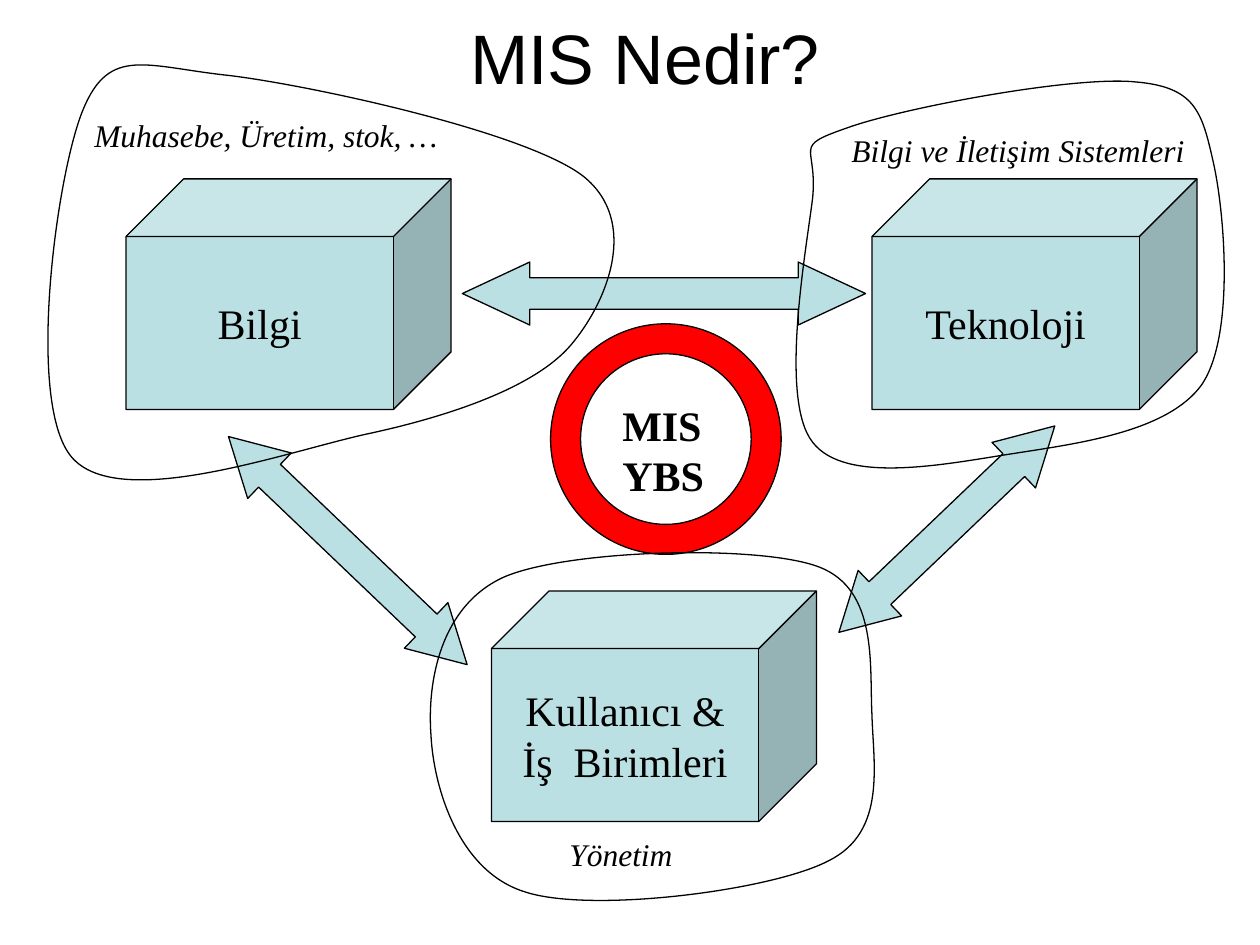
from pptx import Presentation
from pptx.dml.color import RGBColor
from pptx.enum.shapes import MSO_SHAPE
from pptx.enum.text import MSO_ANCHOR, MSO_AUTO_SIZE, PP_ALIGN
from pptx.oxml.ns import qn
from pptx.util import Inches, Pt

COLORS = {"text": "000000", "line": "000000", "panel": "BBE0E3", "ring": "FF0000"}
SERIF = "Times New Roman"
CUBE_SIZE = (2.58, 1.83)

# Each outline is a start point followed by three points per Bézier curve.
# All region measures are inches from the top left corner of the region.
REGIONS = [
    {
        "origin": (0.2, 0.36), "cube": (0.8, 1.06), "label": "Bilgi",
        "caption": "Muhasebe, Üretim, stok, …", "caption_box": (0.45, 0.51, 2.93, 0.4),
        "outline": [
            (0.46, 0.51),
            (0.25, 1.01), (0, 2.84), (0.37, 3.27),
            (0.74, 3.7), (2.03, 3.24), (2.69, 3.09),
            (3.35, 2.95), (4.04, 2.72), (4.33, 2.38),
            (4.62, 2.04), (4.88, 1.4), (4.43, 1.04),
            (3.98, 0.69), (2.28, 0.32), (1.62, 0.24),
            (0.96, 0.17), (0.67, 0), (0.46, 0.51),
        ],
    },
    {
        "origin": (3.39, 4.32), "cube": (0.51, 0.37), "label": "Kullanıcı &\nİş  Birimleri",
        "caption": "Yönetim", "caption_box": (1.03, 2.26, 1.02, 0.4),
        "outline": [
            (0.61, 0.26),
            (0.1, 0.49), (0, 1.1), (0.03, 1.51),
            (0.05, 1.93), (0.25, 2.6), (0.78, 2.76),
            (1.3, 2.93), (2.74, 2.75), (3.19, 2.51),
            (3.65, 2.28), (3.54, 1.74), (3.53, 1.35),
            (3.51, 0.96), (3.58, 0.36), (3.11, 0.18),
            (2.64, 0), (1.12, 0.04), (0.61, 0.26),
        ],
    },
    {
        "origin": (6.18, 0.6), "cube": (0.74, 0.82), "label": "Teknoloji",
        "caption": "Bilgi ve İletişim Sistemleri", "caption_box": (0.48, 0.39, 2.9, 0.4),
        "outline": [
            (0.27, 0.97),
            (0.22, 1.38), (0, 2.57), (0.27, 2.91),
            (0.53, 3.25), (1.34, 3.08), (1.86, 3),
            (2.37, 2.92), (3.09, 2.83), (3.36, 2.45),
            (3.62, 2.06), (3.54, 1.09), (3.45, 0.69),
            (3.36, 0.29), (3.31, 0.09), (2.83, 0.05),
            (2.34, 0), (0.96, 0.26), (0.53, 0.42),
            (0.1, 0.57), (0.31, 0.55), (0.27, 0.97),
        ],
    },
]

# Box, head length relative to arrow height, rotation
ARROWS = [
    ((3.67, 2.08, 3.2, 0.5), 1.07, 0),
    ((1.45, 4.12, 2.62, 0.5), 0.9, 43.7),
    ((6.33, 3.95, 2.37, 0.5), 0.9, 316.3),
]


def style_shape(shape, fill=None):
    shape.shadow.inherit = False
    if fill:
        shape.fill.solid()
        shape.fill.fore_color.rgb = RGBColor.from_string(COLORS[fill])
    else:
        shape.fill.background()
    shape.line.color.rgb = RGBColor.from_string(COLORS["line"])
    shape.line.width = Pt(0.75)


def add_preset(slide, preset, box, fill):
    shape = slide.shapes.add_shape(preset, *map(Inches, box))
    style_shape(shape, fill)
    return shape


def write_text(shape, text, size, font=SERIF, align=PP_ALIGN.LEFT, bold=False, italic=False):
    text_frame = shape.text_frame
    text_frame.text = text
    text_frame.word_wrap = False
    for paragraph in text_frame.paragraphs:
        paragraph.alignment = align
        for run in paragraph.runs:
            run.font.name = font
            run.font.size = Pt(size)
            run.font.bold = bold
            run.font.italic = italic
            run.font.color.rgb = RGBColor.from_string(COLORS["text"])
    return text_frame


def add_label(slide, box, text, size, **style):
    """Add a text box that grows with its unwrapped text."""
    text_box = slide.shapes.add_textbox(*map(Inches, box))
    write_text(text_box, text, size, **style).auto_size = MSO_AUTO_SIZE.SHAPE_TO_FIT_TEXT


def add_closed_curve(slide, left, top, points):
    start, *others = [(Inches(left + x), Inches(top + y)) for x, y in points]
    builder = slide.shapes.build_freeform(*start)
    builder.add_line_segments(others, close=True)
    shape = builder.convert_to_shape()
    style_shape(shape)

    # Join every three line segments into one Bézier curve.
    segments = list(shape.element.iter(qn("a:lnTo")))
    for index in range(0, len(segments), 3):
        first, *rest = segments[index:index + 3]
        curve = first.makeelement(qn("a:cubicBezTo"))
        first.addprevious(curve)
        for segment in (first, *rest):
            curve.append(segment[0])
            segment.getparent().remove(segment)


def add_region(slide, region):
    """Add a cube, its caption and the outline around both."""
    left, top = region["origin"]
    cube_x, cube_y = region["cube"]
    cube = add_preset(slide, MSO_SHAPE.CUBE, (left + cube_x, top + cube_y, *CUBE_SIZE), "panel")
    cube.adjustments[0] = 0.25
    write_text(cube, region["label"], 24, align=PP_ALIGN.CENTER)
    cube.text_frame.vertical_anchor = MSO_ANCHOR.MIDDLE

    x, y, width, height = region["caption_box"]
    add_label(slide, (left + x, top + y, width, height), region["caption"], 18, italic=True)
    add_closed_curve(slide, left, top, region["outline"])


def add_arrow(slide, box, head, rotation):
    arrow = add_preset(slide, MSO_SHAPE.LEFT_RIGHT_ARROW, box, "panel")
    arrow.adjustments[0] = 0.5
    arrow.adjustments[1] = head
    arrow.rotation = rotation


def add_ring(slide, left, top, diameter):
    ring = add_preset(slide, MSO_SHAPE.DONUT, (left, top, diameter, diameter), "ring")
    ring.adjustments[0] = 0.13
    add_label(slide, (left + 0.47, top + 0.55, 0.85, 0.9), "MIS\nYBS", 24, bold=True)


def add_title(slide, box, text):
    title = slide.shapes.add_textbox(*map(Inches, box))
    text_frame = write_text(title, text, 40, font="Arial", align=PP_ALIGN.CENTER)
    text_frame.word_wrap = True
    text_frame.vertical_anchor = MSO_ANCHOR.MIDDLE


def main():
    presentation = Presentation()
    presentation.slide_width = Inches(10)
    presentation.slide_height = Inches(7.5)
    slide = presentation.slides.add_slide(presentation.slide_layouts[6])

    add_title(slide, (0.87, 0.06, 8.5, 0.78), "MIS Nedir?")
    for arrow in ARROWS:
        add_arrow(slide, *arrow)
    add_ring(slide, 4.37, 2.57, 1.83)
    for region in REGIONS:
        add_region(slide, region)

    presentation.save("out.pptx")


if __name__ == "__main__":
    main()
